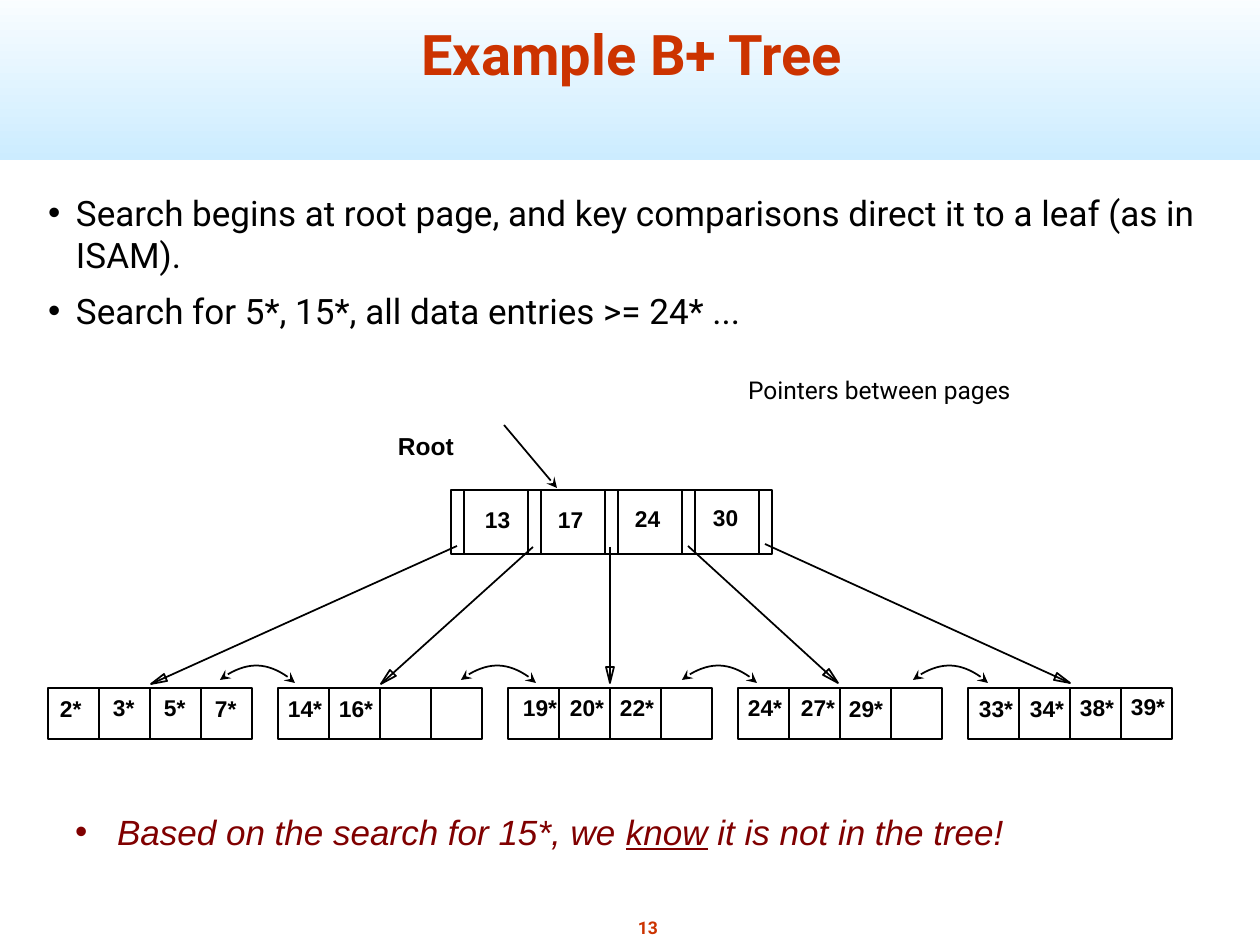
import math
from typing import NamedTuple

from lxml import etree
from pptx import Presentation
from pptx.dml.color import RGBColor
from pptx.enum.shapes import MSO_CONNECTOR, MSO_SHAPE
from pptx.enum.text import MSO_ANCHOR, MSO_AUTO_SIZE, PP_ALIGN
from pptx.oxml.ns import qn
from pptx.util import Emu, Pt

RECT = MSO_SHAPE.RECTANGLE
LINE = MSO_CONNECTOR.STRAIGHT
CENTER = PP_ALIGN.CENTER
TOP, BOTTOM = MSO_ANCHOR.TOP, MSO_ANCHOR.BOTTOM
FIXED = MSO_AUTO_SIZE.NONE

SCALE = 914400 / 126
COLORS = {"ink": "000000", "head": "CC3300", "note": "800000", "sky": "CCECFF", "white": "FFFFFF"}

HEAD = {"name": "Roboto", "size": Pt(32), "bold": True}
BODY = {"name": "Roboto", "size": Pt(20)}
SMALL = {"name": "Roboto", "size": Pt(14)}
PAGE = {"name": "Roboto", "size": Pt(10), "bold": True}
ROOT = {"name": "Arial", "size": Pt(14), "bold": True}
KEY = {"name": "Arial", "size": Pt(13), "bold": True}
NOTE = {"name": "Arial", "size": Pt(20), "italic": True}


class Box(NamedTuple):
    x: int
    y: int
    w: int
    h: int


class Point(NamedTuple):
    x: int
    y: int


class Label(NamedTuple):
    text: str
    x: int
    y: int


class Link(NamedTuple):
    start: Point
    end: Point


LABELS = [
    Label("13", 479, 500), Label("17", 552, 500), Label("24", 629, 499), Label("30", 707, 498),
    Label("2*", 54, 689), Label("3*", 107, 688), Label("5*", 158, 688), Label("7*", 209, 689),
    Label("14*", 282, 689), Label("16*", 333, 689),
    Label("19*", 517, 688), Label("20*", 564, 688), Label("22*", 614, 688),
    Label("24*", 742, 688), Label("27*", 795, 688), Label("29*", 843, 689),
    Label("33*", 973, 689), Label("34*", 1024, 689), Label("38*", 1074, 688), Label("39*", 1125, 687),
]
WIDTHS = {2: 39, 3: 49}
LINKS = [
    Link(Point(457, 546), Point(151, 684)),
    Link(Point(533, 547), Point(381, 684)),
    Link(Point(610, 547), Point(610, 683)),
    Link(Point(688, 546), Point(838, 683)),
    Link(Point(765, 544), Point(1070, 683)),
]
CURVES = [220, 461, 682, 913]


def px(n: int) -> Emu:
    return Emu(round(n * SCALE))


def rgb(name: str) -> RGBColor:
    return RGBColor.from_string(COLORS[name])


def place(shape, box: Box) -> None:
    for key, n in zip(("left", "top", "width", "height"), box):
        setattr(shape, key, px(n))


def style(font, form: dict, color: str = "ink") -> None:
    for key, value in form.items():
        setattr(font, key, value)
    font.color.rgb = rgb(color)


def frame(shape, wrap: bool = True, anchor=TOP):
    text = shape.text_frame
    form = {"word_wrap": wrap, "auto_size": FIXED, "vertical_anchor": anchor}
    form |= {f"margin_{side}": px(6) for side in ("left", "top", "right", "bottom")}
    for key, value in form.items():
        setattr(text, key, value)
    return text


def write(para, text: str, form: dict, color: str = "ink") -> None:
    run = para.add_run()
    run.text = text
    style(run.font, form, color)


def bullet(para, indent: int) -> None:
    props = para._p.get_or_add_pPr()
    props.set("marL", str(px(indent)))
    props.set("indent", str(-px(indent)))
    etree.SubElement(props, qn("a:buFont"), typeface="Arial")
    etree.SubElement(props, qn("a:buChar"), char="•")


def label(slide, box: Box, text: str, form: dict, color: str = "ink", wrap: bool = False):
    shape = slide.shapes.add_textbox(*map(px, box))
    para = frame(shape, wrap).paragraphs[0]
    write(para, text, form, color)
    return para


def stroke(shape) -> None:
    shape.line.color.rgb = rgb("ink")
    shape.line.width = Pt(1)


def tips(shape, *ends: str) -> None:
    line = shape.element.spPr.find(qn("a:ln"))
    for end in ends:
        etree.SubElement(line, qn(f"a:{end}"), type="stealth")


def hollow(shape) -> None:
    shape.shadow.inherit = False
    shape.fill.background()
    stroke(shape)


def cell(slide, box: Box) -> None:
    hollow(slide.shapes.add_shape(RECT, *map(px, box)))


def line(slide, start: Point, end: Point):
    shape = slide.shapes.add_connector(LINE, *map(px, (*start, *end)))
    stroke(shape)
    etree.SubElement(shape.element.spPr, qn("a:effectLst"))
    return shape


def outline(slide, points: list[Point], close: bool):
    maker = slide.shapes.build_freeform(*points[0], scale=SCALE)
    maker.add_line_segments(points[1:], close=close)
    shape = maker.convert_to_shape()
    hollow(shape)
    return shape


def branch(slide, link: Link) -> None:
    start, end = link
    line(slide, start, end)
    size = math.dist(start, end)
    dx, dy = (end.x - start.x) / size, (end.y - start.y) / size
    wings = [Point(round(end.x - 16 * dx - k * dy), round(end.y - 16 * dy + k * dx)) for k in (4, -4)]
    outline(slide, [end, *wings], True)


def curve(slide, x: int) -> None:
    points = [Point(x, 680), Point(x + 22, 661), Point(x + 55, 663), Point(x + 75, 683)]
    shape = outline(slide, points, False)
    track = shape.element.find(".//" + qn("a:path"))
    bend = etree.SubElement(track, qn("a:cubicBezTo"))
    for step in track.findall(qn("a:lnTo")):
        bend.append(step[0])
        track.remove(step)
    tips(shape, "headEnd", "tailEnd")


def main() -> None:
    deck = Presentation()
    deck.slide_width, deck.slide_height = px(1260), px(945)
    slide = deck.slides.add_slide(deck.slide_layouts[1])

    band = slide.shapes.add_shape(RECT, *map(px, Box(0, -21, 1260, 181)))
    band.shadow.inherit = False
    band.line.fill.background()
    band.fill.gradient()
    band.fill.gradient_angle = 90
    for stop, color in zip(band.fill.gradient_stops, ("sky", "white")):
        stop.color.rgb = rgb(color)
    slide.shapes.element.insert(2, band.element)

    title, body = slide.placeholders
    place(title, Box(76, 9, 1112, 84))
    para = frame(title, anchor=BOTTOM).paragraphs[0]
    para.alignment = CENTER
    write(para, "Example B+ Tree", HEAD, "head")

    place(body, Box(42, 185, 1250, 215))
    text = frame(body)
    items = ["Search begins at root page, and key comparisons direct it to a leaf (as in ISAM).",
             "Search for 5*, 15*, all data entries >= 24* ..."]
    for i, item in enumerate(items):
        para = text.add_paragraph() if i else text.paragraphs[0]
        para.space_before = Pt(8)
        bullet(para, 28)
        write(para, item, BODY)

    para = label(slide, Box(631, 911, 34, 34), "13", PAGE, "head")
    para.alignment = CENTER
    para.space_before = Pt(6)
    para = label(slide, Box(69, 804, 1087, 55), "Based on the search for 15*, we ", NOTE, "note", True)
    bullet(para, 42)
    write(para, "know", NOTE | {"underline": True}, "note")
    write(para, " it is not in the tree!", NOTE, "note")

    for x in range(451, 759, 77):
        cell(slide, Box(x, 490, 77 if x < 759 else 13, 64))
        line(slide, Point(x + 13, 490), Point(x + 13, 554))
    cell(slide, Box(759, 490, 13, 64))
    for leaf in range(5):
        for col in range(4):
            cell(slide, Box(48 + 230 * leaf + 51 * col, 688, 51, 51))
    for link in LINKS:
        branch(slide, link)

    label(slide, Box(392, 425, 71, 40), "Root", ROOT)
    for item in LABELS:
        label(slide, Box(item.x, item.y, WIDTHS[len(item.text)], 38), item.text, KEY)
    tips(line(slide, Point(504, 425), Point(557, 488)), "tailEnd")
    for x in CURVES:
        curve(slide, x)
    label(slide, Box(742, 369, 513, 94), "Pointers between pages", SMALL, wrap=True)
    deck.save("out.pptx")


if __name__ == "__main__":
    main()
